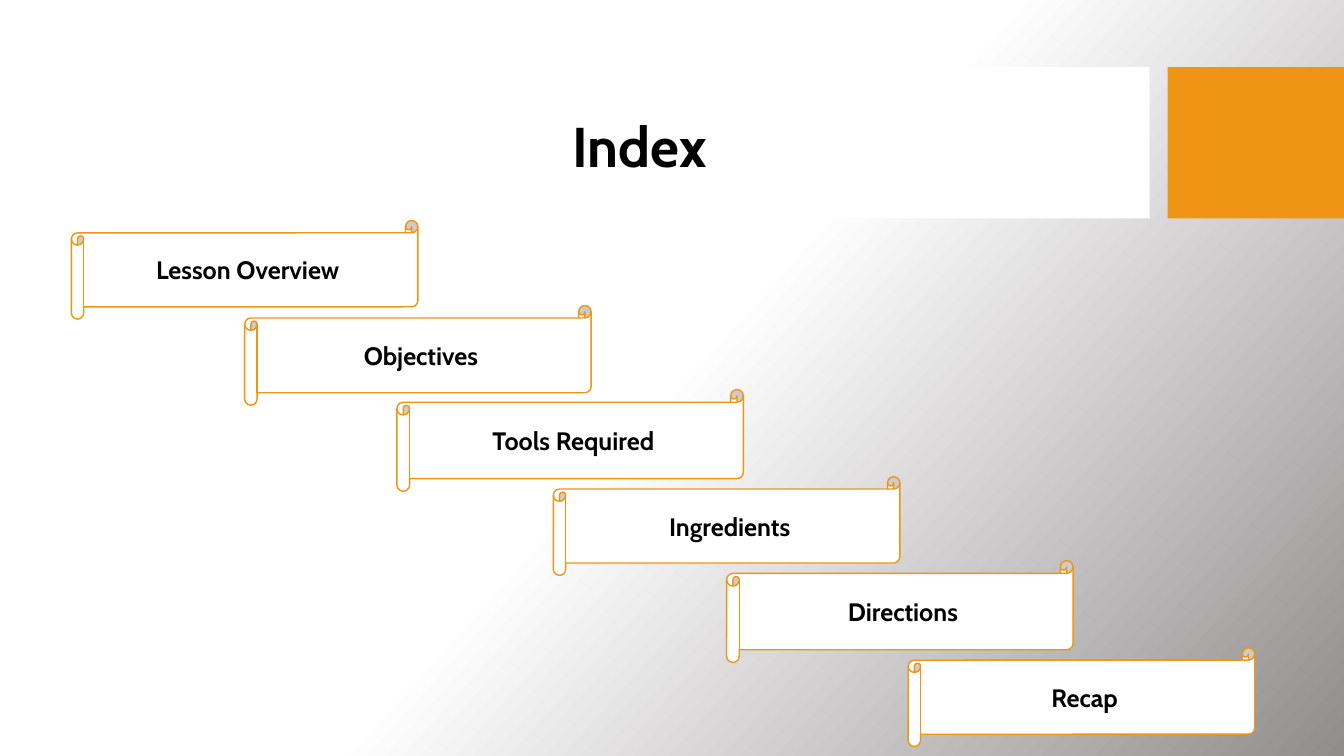
from copy import deepcopy

from pptx import Presentation
from pptx.dml.color import RGBColor
from pptx.enum.shapes import MSO_SHAPE
from pptx.enum.text import MSO_ANCHOR, MSO_AUTO_SIZE, PP_ALIGN
from pptx.oxml.ns import qn
from pptx.util import Pt

PX = 9525  # EMU per px, 96 px to the inch
RECT = MSO_SHAPE.RECTANGLE
SCROLL = MSO_SHAPE.HORIZONTAL_SCROLL
CENTER = PP_ALIGN.CENTER
MIDDLE = MSO_ANCHOR.MIDDLE
FIT_SHAPE = MSO_AUTO_SIZE.SHAPE_TO_FIT_TEXT

FONT = "Cabin"
WHITE, BLACK, ORANGE, GRAY = "FFFFFF", "000000", "F09415", "918D8D"
BACKGROUND_STOPS = [(0, WHITE), (0.5, WHITE), (1, GRAY)]

SCROLL_WIDTH = 330
# label, left, top, height
STEPS = [
    ("Lesson Overview", 68, 210, 94),
    ("Objectives", 233, 291, 95),
    ("Tools Required", 378, 371, 97),
    ("Ingredients", 527, 454, 94),
    ("Directions", 692, 534, 97),
    ("Recap", 865, 617, 94),
]


def rgb(color):
    return RGBColor.from_string(color)


def paint_background(s):
    fill = s.background.fill
    fill.gradient()
    fill.gradient_angle = 360 - 42  # counter-clockwise
    stops = s._element.find(".//" + qn("a:gsLst"))
    stops.insert(1, deepcopy(stops[0]))
    for stop, (position, color) in zip(fill.gradient_stops, BACKGROUND_STOPS):
        stop.position = position
        stop.color.rgb = rgb(color)


def add_box(s, kind, left, top, width, height, color, line=None):
    sp = s.shapes.add_shape(kind, left * PX, top * PX, width * PX, height * PX)
    sp.shadow.inherit = False
    sp.fill.solid()
    sp.fill.fore_color.rgb = rgb(color)
    if line:
        sp.line.color.rgb = rgb(line)
        sp.line.width = Pt(1)
    else:
        sp.line.fill.background()
    return sp


def write(sp, text, size):
    tf = sp.text_frame
    tf.text = text
    tf.vertical_anchor = MIDDLE
    p = tf.paragraphs[0]
    p.alignment = CENTER
    font = p.runs[0].font
    font.name = FONT
    font.size = Pt(size)
    font.bold = True
    font.color.rgb = rgb(BLACK)


def place_title(s, text, left, top, width, height):
    title = s.shapes.title
    title.left, title.top = left * PX, top * PX
    title.width, title.height = width * PX, height * PX
    write(title, text, 40)
    title.text_frame.word_wrap = False
    title.text_frame.auto_size = FIT_SHAPE
    s.shapes._spTree.append(title._element)  # in front of the band


def add_step(s, label, left, top, height):
    sp = add_box(s, SCROLL, left, top, SCROLL_WIDTH, height, WHITE, ORANGE)
    write(sp, label, 18)


def main():
    prs = Presentation()
    prs.slide_width, prs.slide_height = 1280 * PX, 720 * PX
    s = prs.slides.add_slide(prs.slide_layouts[5])
    paint_background(s)
    add_box(s, RECT, 0, 64, 1095, 144, WHITE)
    add_box(s, RECT, 1112, 64, 168, 144, ORANGE)
    place_title(s, "Index", 530, 101, 158, 74)
    for step in STEPS:
        add_step(s, *step)
    prs.save("out.pptx")


if __name__ == "__main__":
    main()
